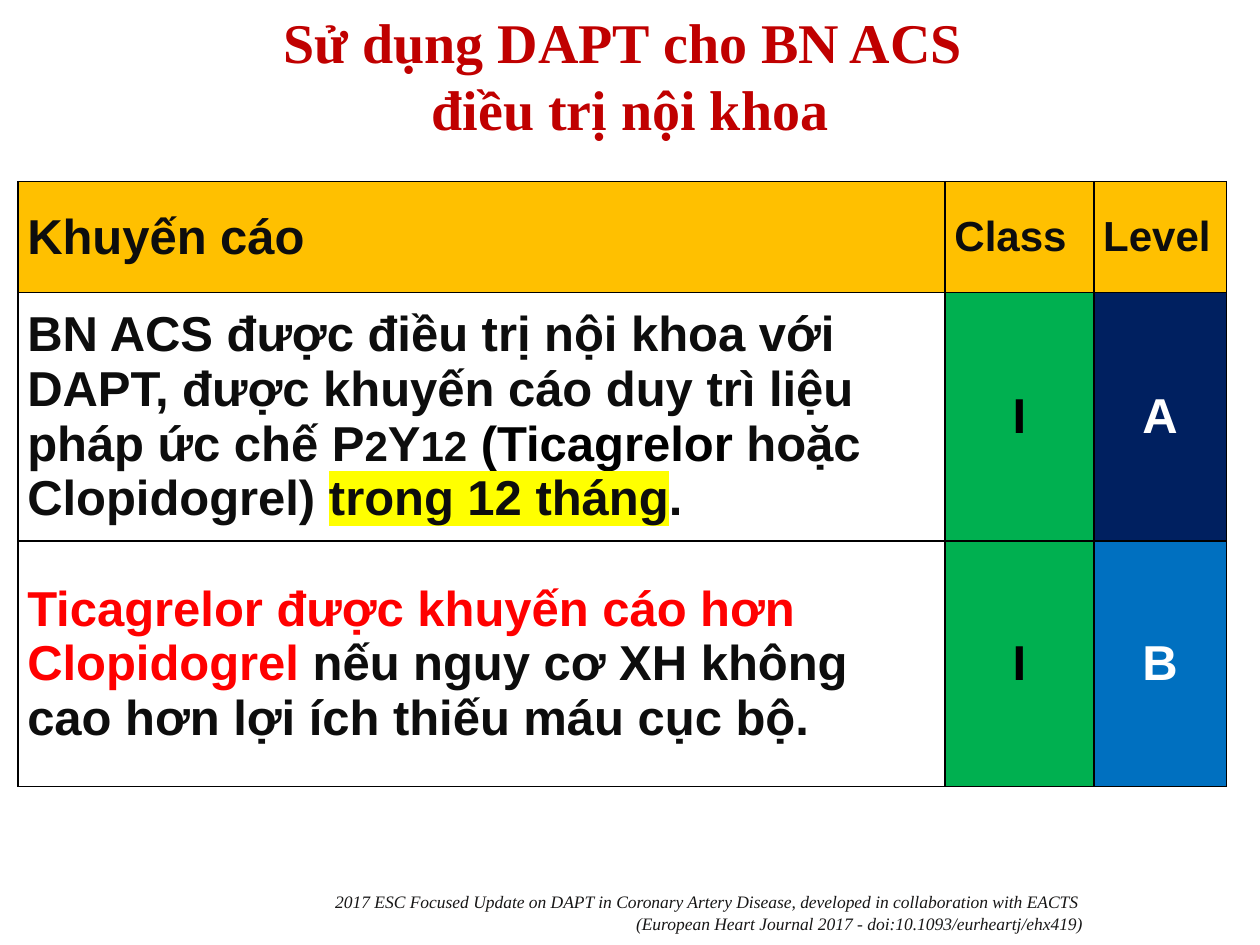
from lxml.etree import SubElement
from pptx import Presentation
from pptx.dml.color import RGBColor
from pptx.enum.text import MSO_ANCHOR, PP_ALIGN
from pptx.oxml import parse_xml
from pptx.oxml.ns import nsdecls, qn
from pptx.util import Cm, Pt

BLACK = RGBColor(0x00, 0x00, 0x00)
INK = RGBColor(0x0D, 0x0D, 0x0D)
SOURCE_INK = RGBColor(0x18, 0x17, 0x17)
WHITE = RGBColor(0xFF, 0xFF, 0xFF)
DARK_RED = RGBColor(0xC0, 0x00, 0x00)
RED = RGBColor(0xFF, 0x00, 0x00)
AMBER = RGBColor(0xFF, 0xC0, 0x00)
GREEN = RGBColor(0x00, 0xB0, 0x50)
NAVY = RGBColor(0x00, 0x20, 0x60)
BLUE = RGBColor(0x00, 0x70, 0xC0)
YELLOW = RGBColor(0xFF, 0xFF, 0x00)


def add_run(p, text, color, **font):
    r = p.add_run()
    r.text = text
    r.font.color.rgb = color
    for name, value in font.items():
        setattr(r.font, name, value)
    return r


def add_borders(cell):
    tcPr = cell._tc.get_or_add_tcPr()
    for i, side in enumerate("LRTB"):
        tcPr.insert(i, parse_xml(
            f'<a:ln{side} {nsdecls("a")} w="{Pt(1)}"><a:solidFill>'
            f'<a:srgbClr val="{BLACK}"/></a:solidFill></a:ln{side}>'))


prs = Presentation()
prs.slide_width, prs.slide_height = Cm(25.4), Cm(19.05)
s = prs.slides.add_slide(prs.slide_layouts[6])

# Source line and title
text_boxes = [
    ((5.23, 17.96, 16.59, 0.91), PP_ALIGN.RIGHT, Pt(0.5), SOURCE_INK,
     {"size": Pt(10), "italic": True},
     ["2017 ESC Focused Update on DAPT in Coronary Artery Disease, "
      "developed in collaboration with EACTS ",
      "(European Heart Journal 2017 - doi:10.1093/eurheartj/ehx419)"]),
    ((0.03, 0.15, 25.35, 2.74), PP_ALIGN.CENTER, Pt(0), DARK_RED,
     {"size": Pt(32), "bold": True},
     ["Sử dụng DAPT cho BN ACS ", "điều trị nội khoa"]),
]
for box, align, gap, color, font, lines in text_boxes:
    tf = s.shapes.add_textbox(*map(Cm, box)).text_frame
    tf.word_wrap = True
    tf.margin_left = tf.margin_right = tf.margin_top = tf.margin_bottom = 0
    for i, line in enumerate(lines):
        p = tf.paragraphs[0] if i == 0 else tf.add_paragraph()
        p.alignment = align
        p.space_before = gap if i else Pt(0)
        add_run(p, line, color, name="Times New Roman", **font)

# Recommendation table: each cell is (fill, alignment, runs),
# each run is (text, size, colour[, highlight])
LEFT, CENTER = PP_ALIGN.LEFT, PP_ALIGN.CENTER
rows = [
    [(AMBER, LEFT, [("Khuyến cáo", 28, INK)]),
     (AMBER, LEFT, [("Class", 24, INK)]),
     (AMBER, LEFT, [("Level", 24, INK)])],
    [(WHITE, LEFT, [
        ("BN ACS được điều trị nội khoa với DAPT, được khuyến cáo "
         "duy trì liệu pháp ức chế P", 28, INK),
        ("2", 24, INK), ("Y", 28, INK), ("12", 24, INK), (" ", 28, INK),
        ("(Ticagrelor ", 28, BLACK), ("hoặc Clopidogrel) ", 28, INK),
        ("trong 12 tháng", 28, INK, YELLOW), (".", 28, INK)]),
     (GREEN, CENTER, [("I", 28, BLACK)]),
     (NAVY, CENTER, [("A", 28, WHITE)])],
    [(WHITE, LEFT, [
        ("Ticagrelor được khuyến cáo hơn Clopidogrel ", 28, RED),
        ("nếu nguy cơ XH không cao hơn lợi ích thiếu máu cục bộ.", 28, INK)]),
     (GREEN, CENTER, [("I", 28, BLACK)]),
     (BLUE, CENTER, [("B", 28, WHITE)])],
]
widths = [18.69, 3.0, 2.67]
heights = [2.24, 5.0, 4.95]
table = s.shapes.add_table(3, 3, Cm(0.36), Cm(3.66),
                           Cm(sum(widths)), Cm(sum(heights))).table
for column, width in zip(table.columns, widths):
    column.width = Cm(width)
for row, height, contents in zip(table.rows, heights, rows):
    row.height = Cm(height)
    for cell, (fill, align, runs) in zip(row.cells, contents):
        cell.fill.solid()
        cell.fill.fore_color.rgb = fill
        add_borders(cell)
        cell.vertical_anchor = MSO_ANCHOR.MIDDLE
        cell.margin_left = cell.margin_right = Cm(0.19)
        cell.margin_top = cell.margin_bottom = Cm(0.13)
        p = cell.text_frame.paragraphs[0]
        p.alignment = align
        for text, size, color, *highlight in runs:
            r = add_run(p, text, color, size=Pt(size), bold=True)
            if highlight:
                mark = SubElement(r.font._element, qn("a:highlight"))
                SubElement(mark, qn("a:srgbClr"), val=str(highlight[0]))
            r.font.name = "Arial"

prs.save("out.pptx")
